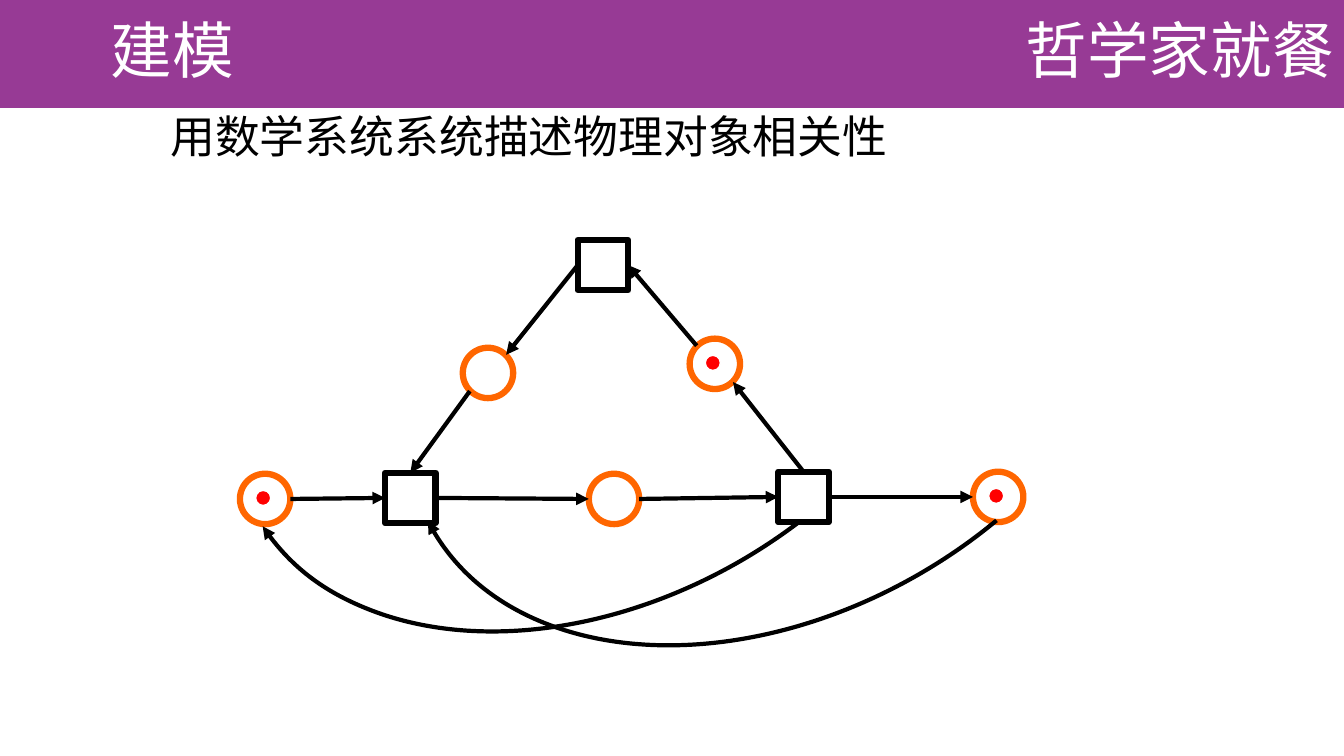
"""Build a slide with a Petri net of the dining philosophers."""
from lxml.etree import SubElement
from pptx import Presentation
from pptx.dml.color import RGBColor
from pptx.enum.shapes import MSO_CONNECTOR, MSO_SHAPE
from pptx.enum.text import MSO_ANCHOR, PP_ALIGN
from pptx.oxml.ns import qn
from pptx.util import Inches, Pt

PURPLE = RGBColor(0x97, 0x3A, 0x95)
ORANGE = RGBColor(0xFF, 0x66, 0x00)
RED = RGBColor(0xFF, 0x00, 0x00)
BLACK = RGBColor(0x00, 0x00, 0x00)
WHITE = RGBColor(0xFF, 0xFF, 0xFF)
CJK_FONT = "Noto Sans CJK SC"

TEXTS = [
    ("建模", (0, 0, 2.42, 1.07), 44, CJK_FONT, WHITE, PP_ALIGN.RIGHT, MSO_ANCHOR.MIDDLE),
    ("用数学系统系统描述物理对象相关性", (1.59, 1.09, 11.5, 4.76), 32, "Lato", BLACK,
     PP_ALIGN.LEFT, MSO_ANCHOR.TOP),
    ("哲学家就餐", (10, 0, 3.33, 1.07), 44, CJK_FONT, WHITE, PP_ALIGN.RIGHT, MSO_ANCHOR.MIDDLE),
]

NODE_SIZE = 0.5
TOKEN_SIZE = 0.15
TRANSITIONS = {"top": (5.98, 2.63), "left": (4.07, 4.94), "right": (7.97, 4.93)}
PLACES = {
    "upper left": (4.84, 3.7),
    "upper right": (7.09, 3.61),
    "far left": (2.63, 4.95),
    "middle": (6.09, 4.95),
    "far right": (9.9, 4.93),
}
MARKED = ["upper right", "far left", "far right"]

SIDES = {
    "N": (0, -0.25), "E": (0.25, 0), "W": (-0.25, 0),
    "NE": (0.18, -0.18), "NW": (-0.18, -0.18), "SE": (0.18, 0.18), "SW": (-0.18, 0.18),
}
ARROWS = [
    ("far left", "E", "left", "W"),
    ("left", "E", "middle", "W"),
    ("middle", "E", "right", "W"),
    ("right", "E", "far right", "W"),
    ("top", "W", "upper left", "NE"),
    ("upper left", "SW", "left", "N"),
    ("right", "N", "upper right", "SE"),
    ("upper right", "NW", "top", "E"),
]
RETURN_ARCS = [
    ((2.01, 0.35, 7.87, 5.59), (153.6, 214.88)),
    ((3.76, 0.48, 7.92, 5.59), (150.67, 0.84)),
]


def add_text(slide, text, box, size, font, color, align, anchor):
    frame = slide.shapes.add_textbox(*map(Inches, box)).text_frame
    frame.word_wrap = True
    frame.vertical_anchor = anchor
    paragraph = frame.paragraphs[0]
    paragraph.alignment = align
    paragraph.line_spacing = 0.9
    run = paragraph.add_run()
    run.text = text
    run.font.size = Pt(size)
    run.font.name = font
    run.font.color.rgb = color
    SubElement(run.font._element, qn("a:ea")).set("typeface", CJK_FONT)


def add_filled(slide, kind, box, fill, outline=None, width=0):
    shape = slide.shapes.add_shape(kind, *map(Inches, box))
    shape.shadow.inherit = False
    shape.fill.solid()
    shape.fill.fore_color.rgb = fill
    if outline is None:
        shape.line.fill.background()
    else:
        shape.line.color.rgb = outline
        shape.line.width = Pt(width)


def centred(center, size):
    x, y = center
    return x - size / 2, y - size / 2, size, size


def style_arrow(line):
    line.color.rgb = BLACK
    line.width = Pt(3)
    SubElement(line._get_or_add_ln(), qn("a:tailEnd")).set("type", "triangle")


def add_arrow(slide, start, end):
    arrow = slide.shapes.add_connector(MSO_CONNECTOR.STRAIGHT, *map(Inches, start + end))
    style_arrow(arrow.line)
    SubElement(arrow._element.spPr, qn("a:effectLst"))


def add_return_arc(slide, box, angles):
    arc = slide.shapes.add_shape(MSO_SHAPE.ARC, *map(Inches, box))
    arc.shadow.inherit = False
    arc.fill.background()
    arc.rotation = 150
    arc.adjustments[0], arc.adjustments[1] = angles
    style_arrow(arc.line)


def main():
    prs = Presentation()
    prs.slide_width, prs.slide_height = Inches(13.33), Inches(7.5)
    slide = prs.slides.add_slide(prs.slide_layouts[6])

    add_filled(slide, MSO_SHAPE.RECTANGLE, (0, -0.01, 13.33, 1.08), PURPLE)
    for text in TEXTS:
        add_text(slide, *text)

    for center in TRANSITIONS.values():
        add_filled(slide, MSO_SHAPE.RECTANGLE, centred(center, NODE_SIZE), WHITE, BLACK, 4.5)
    for name, center in PLACES.items():
        add_filled(slide, MSO_SHAPE.OVAL, centred(center, NODE_SIZE), WHITE, ORANGE, 4.5)
        if name in MARKED:
            token_center = center[0] - 0.02, center[1] - 0.01
            add_filled(slide, MSO_SHAPE.OVAL, centred(token_center, TOKEN_SIZE), RED, WHITE, 1)

    nodes = TRANSITIONS | PLACES
    for source, exit_side, target, entry_side in ARROWS:
        start, end = (
            (nodes[name][0] + SIDES[side][0], nodes[name][1] + SIDES[side][1])
            for name, side in ((source, exit_side), (target, entry_side))
        )
        add_arrow(slide, start, end)
    for box, angles in RETURN_ARCS:
        add_return_arc(slide, box, angles)

    prs.save("out.pptx")


if __name__ == "__main__":
    main()
